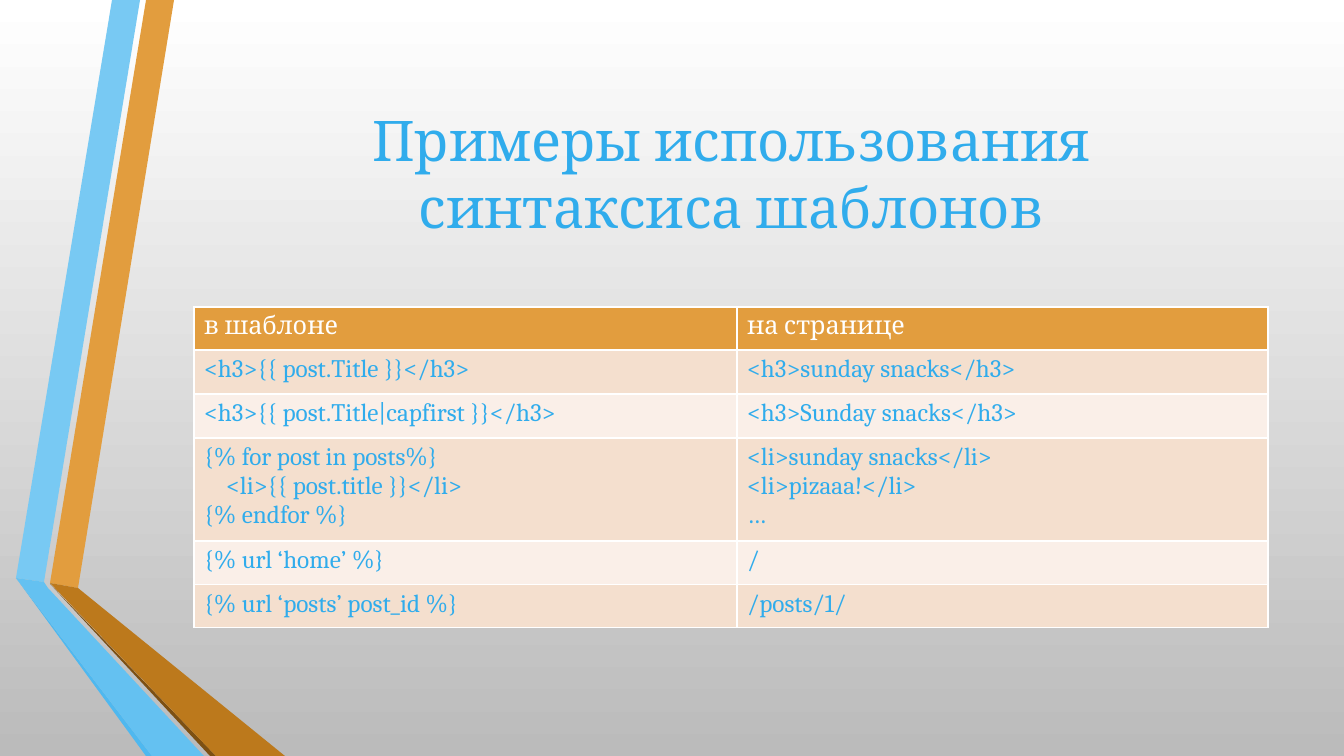
from lxml import etree
from pptx import Presentation
from pptx import util as u
from pptx.dml.color import RGBColor
from pptx.enum import text
from pptx.oxml import ns

SCALE = 914400 / 100.8
FONT = "Cambria"

WHITE = RGBColor(0xFF, 0xFF, 0xFF)
GREY = RGBColor(0xBB, 0xBB, 0xBB)
BLUE = RGBColor(0x30, 0xAC, 0xEC)
BLUE_LIGHT = RGBColor(0x78, 0xC9, 0xF3)
BLUE_MIDDLE = RGBColor(0x64, 0xC1, 0xF1)
BLUE_EDGE = RGBColor(0x4F, 0xB8, 0xEF)
ORANGE = RGBColor(0xE2, 0x9D, 0x3E)
BROWN = RGBColor(0xBC, 0x79, 0x1C)
BROWN_EDGE = RGBColor(0x7D, 0x50, 0x13)
BAND_DARK = RGBColor(0xF4, 0xDF, 0xCE)
BAND_LIGHT = RGBColor(0xFA, 0xEF, 0xE8)

RIBBONS = [
    (ORANGE, [(50, 583), (78, 588), (174, 0), (146, 0)]),
    (BLUE_LIGHT, [(140, 0), (112, 0), (16, 578), (44, 582)]),
    (BLUE_EDGE, [(16, 578), (146, 756), (152, 756)]),
    (BROWN_EDGE, [(50, 584), (210, 756), (216, 756)]),
    (BROWN, [(50, 583), (216, 756), (285, 756), (78, 588)]),
    (BLUE_MIDDLE, [(204, 756), (48, 588), (44, 582), (16, 578), (152, 756)]),
]

TITLE = "Примеры использования синтаксиса шаблонов"
COLUMN_WIDTHS = [543, 531]
LINE_INDENT = 22
# Each row: height, then the lines of each cell
ROWS = [
    (43, ["в шаблоне"], ["на странице"]),
    (44, ["<h3>{{ post.Title }}</h3>"], ["<h3>sunday snacks</h3>"]),
    (44, ["<h3>{{ post.Title|capfirst }}</h3>"], ["<h3>Sunday snacks</h3>"]),
    (103, ["{% for post in posts%}", "\t<li>{{ post.title }}</li>", "{% endfor %}"],
     ["<li>sunday snacks</li>", "<li>pizaaa!</li>", "…"]),
    (44, ["{% url ‘home’ %}"], ["/"]),
    (43, ["{% url ‘posts’ post_id %}"], ["/posts/1/"]),
]


def px(length):
    """Turn pixels into EMU."""
    return u.Emu(round(length * SCALE))


def paint_background(page):
    """Fill the page with a vertical gradient."""
    fill = page.background.fill
    fill.gradient()
    fill.gradient_angle = 270
    for stop, color in zip(fill.gradient_stops, (WHITE, GREY)):
        stop.color.rgb = color


def add_ribbon(page, color, points):
    """Draw one closed, unlined facet of the folded ribbons."""
    builder = page.shapes.build_freeform(*points[0], scale=SCALE)
    builder.add_line_segments(points[1:], close=True)
    shape = builder.convert_to_shape()
    shape.shadow.inherit = False
    shape.fill.solid()
    shape.fill.fore_color.rgb = color
    shape.line.fill.background()


def add_span(para, words, size, color):
    """Append a styled run to a paragraph."""
    span = para.add_run()
    span.text = words
    span.font.name = FONT
    span.font.size = u.Pt(size)
    span.font.color.rgb = color


def add_title(page, words, left, top, width, height):
    """Place the centred title."""
    box = page.shapes.add_textbox(px(left), px(top), px(width), px(height))
    frame = box.text_frame
    frame.word_wrap = True
    frame.vertical_anchor = text.MSO_ANCHOR.MIDDLE
    para = frame.paragraphs[0]
    para.alignment = text.PP_ALIGN.CENTER
    add_span(para, words, 40, BLUE)


def set_borders(cell, color, width):
    """Give all four sides of a cell the same line."""
    properties = cell._tc.get_or_add_tcPr()
    for side in ("lnL", "lnR", "lnT", "lnB"):
        line = etree.SubElement(properties, ns.qn("a:" + side), w=str(u.Pt(width)))
        fill = etree.SubElement(line, ns.qn("a:solidFill"))
        etree.SubElement(fill, ns.qn("a:srgbClr"), val=str(color))


def fill_cell(cell, lines, fill_color, text_color):
    """Style a cell and write its lines; a leading tab means an indented line."""
    set_borders(cell, WHITE, 1)
    cell.fill.solid()
    cell.fill.fore_color.rgb = fill_color
    frame = cell.text_frame
    for number, line in enumerate(lines):
        para = frame.add_paragraph() if number else frame.paragraphs[0]
        if line.startswith("\t"):
            para._p.get_or_add_pPr().set("marL", str(px(LINE_INDENT)))
        add_span(para, line.lstrip("\t"), 18, text_color)


def add_syntax_table(page, left, top):
    """Build the table of template code and its output."""
    heights = [row[0] for row in ROWS]
    frame = page.shapes.add_table(len(ROWS), len(COLUMN_WIDTHS), px(left), px(top),
                                  px(sum(COLUMN_WIDTHS)), px(sum(heights)))
    table = frame.table
    for column, width in zip(table.columns, COLUMN_WIDTHS):
        column.width = px(width)
    for index, (height, *cells) in enumerate(ROWS):
        table.rows[index].height = px(height)
        band = BAND_DARK if index % 2 else BAND_LIGHT
        colors = (band, BLUE) if index else (ORANGE, WHITE)
        for column, lines in enumerate(cells):
            fill_cell(table.cell(index, column), lines, *colors)


def main():
    """Build and save the slide."""
    deck = Presentation()
    deck.slide_width, deck.slide_height = px(1344), px(756)
    page = deck.slides.add_slide(deck.slide_layouts[6])
    paint_background(page)
    for color, points in RIBBONS:
        add_ribbon(page, color, points)
    add_title(page, TITLE, 194, 76, 1074, 194)
    add_syntax_table(page, 194, 307)
    deck.save("out.pptx")


main()
